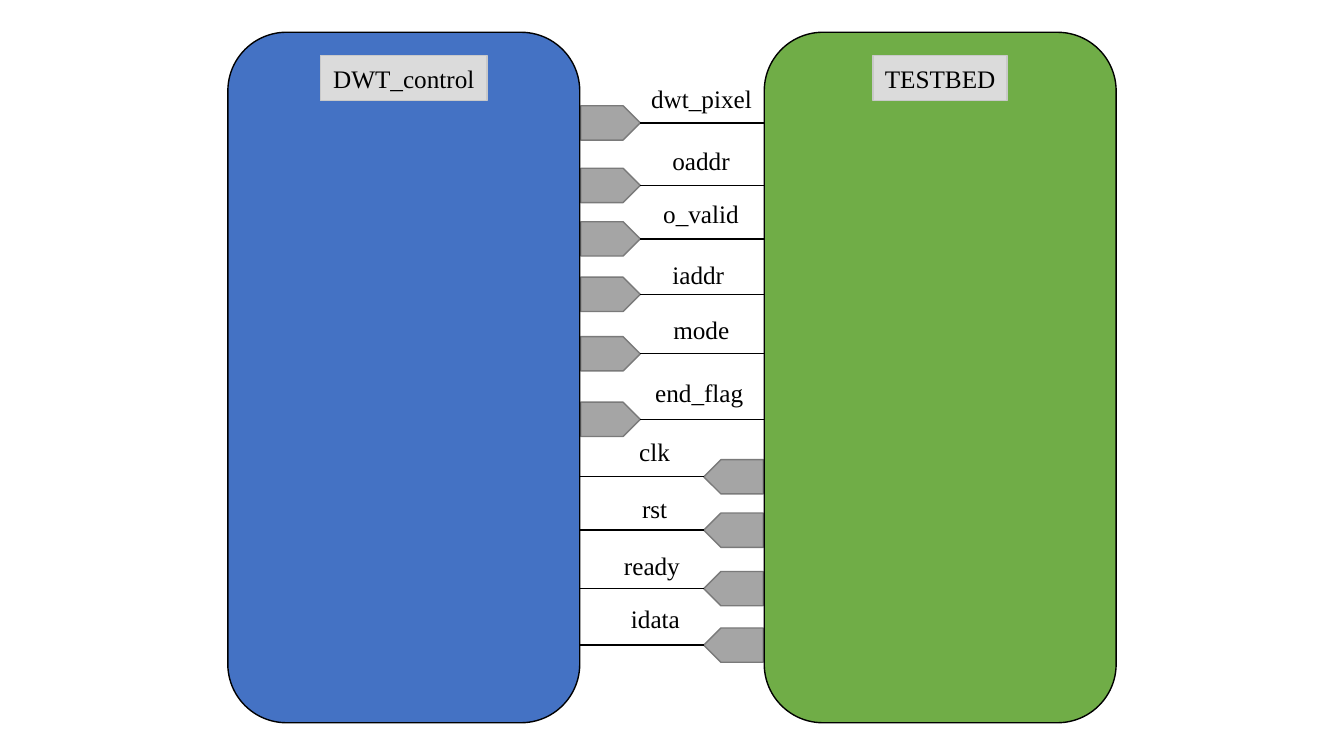
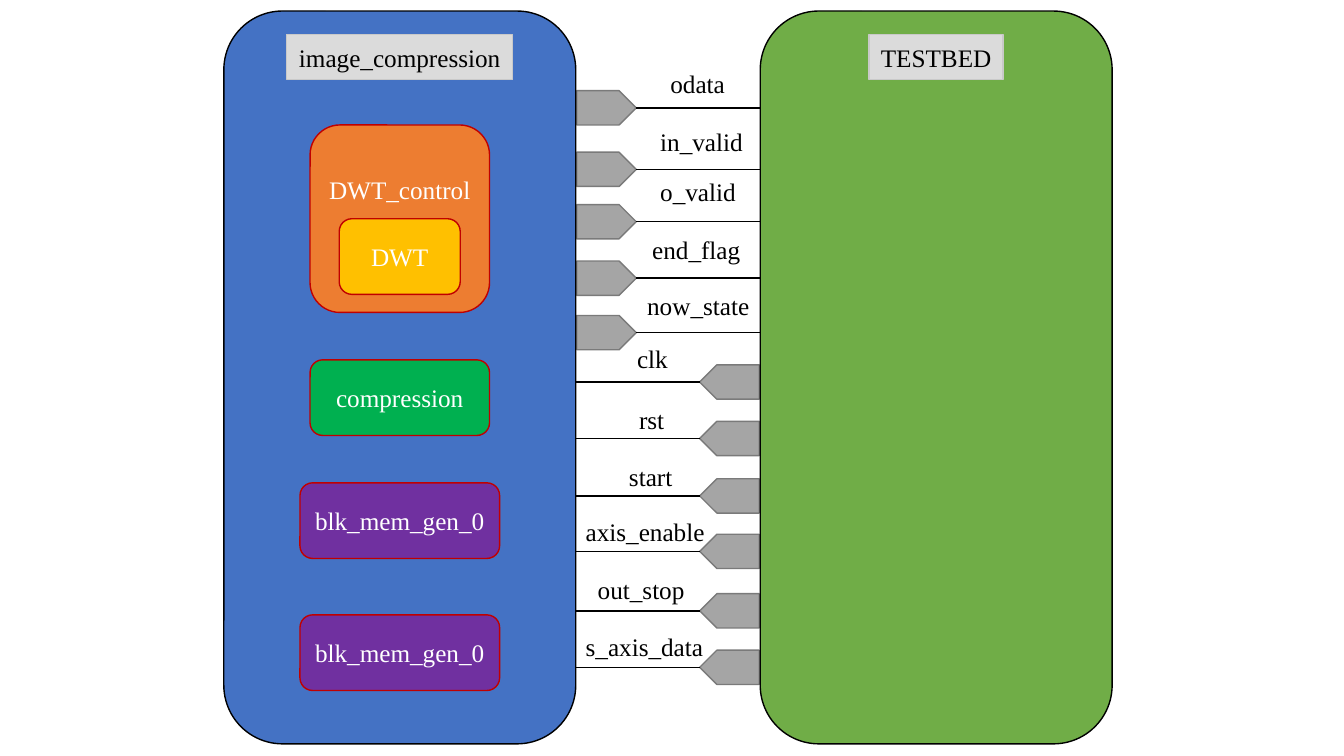
from pptx import Presentation
from pptx import util as u
from pptx.dml.color import RGBColor
from pptx.enum import shapes, text
from pptx.oxml.ns import qn
from lxml import etree

PX = 9144  # 100 px to the inch

BLACK = RGBColor(0x00, 0x00, 0x00)
WHITE = RGBColor(0xFF, 0xFF, 0xFF)
BLUE = RGBColor(0x44, 0x72, 0xC4)
GREEN = RGBColor(0x70, 0xAD, 0x47)
GREY = RGBColor(0xA5, 0xA5, 0xA5)
GREY_EDGE = RGBColor(0x7A, 0x7A, 0x7A)
TAG = RGBColor(0xDB, 0xDB, 0xDB)
TAG_EDGE = RGBColor(0xC9, 0xC9, 0xC9)
RED = RGBColor(0xC0, 0x00, 0x00)
ORANGE = RGBColor(0xED, 0x7D, 0x31)
YELLOW = RGBColor(0xFF, 0xC0, 0x00)
EMERALD = RGBColor(0x00, 0xB0, 0x50)
PURPLE = RGBColor(0x70, 0x30, 0xA0)

FONT = "Times New Roman"
BLOCK_W, BLOCK_GAP = 349, 183
PORT_W, PORT_H = 59, 34
LABEL_H, TAG_H = 40, 45
ROUND = shapes.MSO_SHAPE.ROUNDED_RECTANGLE
RECT = shapes.MSO_SHAPE.RECTANGLE
PENTAGON = shapes.MSO_SHAPE.PENTAGON

# Outputs and inputs: signal, port top, label left, label top, label width
# Modules: name, top, width, height, fill, space kept free below the name
diagrams = [
    {
        "left": 226, "top": 32, "height": 685,
        "tags": [("DWT_control", 165), ("TESTBED", 133)],
        "outputs": [
            ("dwt_pixel", 105, 636, 78, 120),
            ("oaddr", 167, 657, 139, 78),
            ("o_valid", 220, 648, 192, 96),
            ("iaddr", 275, 657, 252, 78),
            ("mode", 334, 658, 307, 76),
            ("end_flag", 399, 640, 369, 113),
        ],
        "inputs": [
            ("clk", 456, 624, 428, 51),
            ("rst", 509, 627, 484, 46),
            ("ready", 567, 609, 541, 78),
            ("idata", 623, 616, 594, 71),
        ],
        "modules": [],
    },
    {
        "left": 222, "top": 11, "height": 727,
        "tags": [("image_compression", 224), ("TESTBED", 133)],
        "outputs": [
            ("odata", 90, 655, 63, 75),
            ("in_valid", 151, 645, 120, 103),
            ("o_valid", 203, 645, 170, 96),
            ("end_flag", 259, 637, 228, 113),
            ("now_state", 313, 632, 283, 125),
        ],
        "inputs": [
            ("clk", 362, 622, 336, 51),
            ("rst", 418, 624, 396, 46),
            ("start", 475, 614, 453, 64),
            ("axis_enable", 530, 571, 507, 139),
            ("out_stop", 589, 583, 565, 107),
            ("s_axis_data", 645, 571, 621, 138),
        ],
        "modules": [
            ("DWT_control", 124, 178, 186, ORANGE, 58),
            ("DWT", 217, 120, 75, YELLOW, 0),
            ("compression", 357, 178, 75, EMERALD, 0),
            ("blk_mem_gen_0", 479, 198, 75, PURPLE, 0),
            ("blk_mem_gen_0", 610, 198, 75, PURPLE, 0),
        ],
    },
]


def add_box(page, kind, left, top, width, height, fill, edge):
    box = page.shapes.add_shape(
        kind, int(left * PX), int(top * PX), int(width * PX), int(height * PX))
    box.shadow.inherit = False
    box.fill.solid()
    box.fill.fore_color.rgb = fill
    box.line.color.rgb = edge
    box.line.width = u.Pt(1)
    return box


def write(box, words, color, align):
    box.text_frame.text = words
    para = box.text_frame.paragraphs[0]
    para.alignment = align
    span = para.runs[0]
    span.font.name = FONT
    span.font.size = u.Pt(18)
    span.font.color.rgb = color


deck = Presentation()
deck.slide_width, deck.slide_height = 1333 * PX, 750 * PX

for diagram in diagrams:
    page = deck.slides.add_slide(deck.slide_layouts[6])
    left, top = diagram["left"], diagram["top"]
    inner_left = left + BLOCK_W
    inner_right = inner_left + BLOCK_GAP

    # Ports with their wires and signal names
    for side in ("outputs", "inputs"):
        is_output = side == "outputs"
        port_left = inner_left + 1 if is_output else inner_right - PORT_W - 1
        tip = port_left + PORT_W if is_output else port_left
        far = inner_right if is_output else inner_left
        for signal, port_top, label_left, label_top, label_w in diagram[side]:
            port = add_box(page, PENTAGON, port_left, port_top,
                           PORT_W, PORT_H, GREY, GREY_EDGE)
            port.rotation = 0 if is_output else 180
            wire_y = port_top + PORT_H // 2
            wire = page.shapes.add_connector(
                shapes.MSO_CONNECTOR.STRAIGHT,
                tip * PX, wire_y * PX, far * PX, wire_y * PX)
            if is_output:
                wire.begin_connect(port, 3)
            wire.line.color.rgb = BLACK
            wire.line.width = u.Pt(1)
            etree.SubElement(wire._element.spPr, qn("a:effectLst"))

            label = page.shapes.add_textbox(
                label_left * PX, label_top * PX, label_w * PX, LABEL_H * PX)
            label.text_frame.word_wrap = False
            label.text_frame.auto_size = text.MSO_AUTO_SIZE.SHAPE_TO_FIT_TEXT
            write(label, signal, BLACK, text.PP_ALIGN.LEFT)

    # Large blocks with name tags
    for block_left, fill, (name, tag_w) in zip(
            (left, inner_right), (BLUE, GREEN), diagram["tags"]):
        add_box(page, ROUND, block_left, top, BLOCK_W, diagram["height"], fill, BLACK)
        tag = add_box(page, RECT, block_left + (BLOCK_W - tag_w) / 2, top + 23,
                      tag_w, TAG_H, TAG, TAG_EDGE)
        write(tag, name, BLACK, text.PP_ALIGN.CENTER)

    # Modules centred in the left block
    for name, module_top, width, height, fill, free in diagram["modules"]:
        module = add_box(page, ROUND, left + (BLOCK_W - width) / 2, module_top,
                         width, height, fill, RED)
        module.text_frame.margin_bottom = (5 + free) * PX
        write(module, name, WHITE, text.PP_ALIGN.CENTER)

deck.save("out.pptx")
